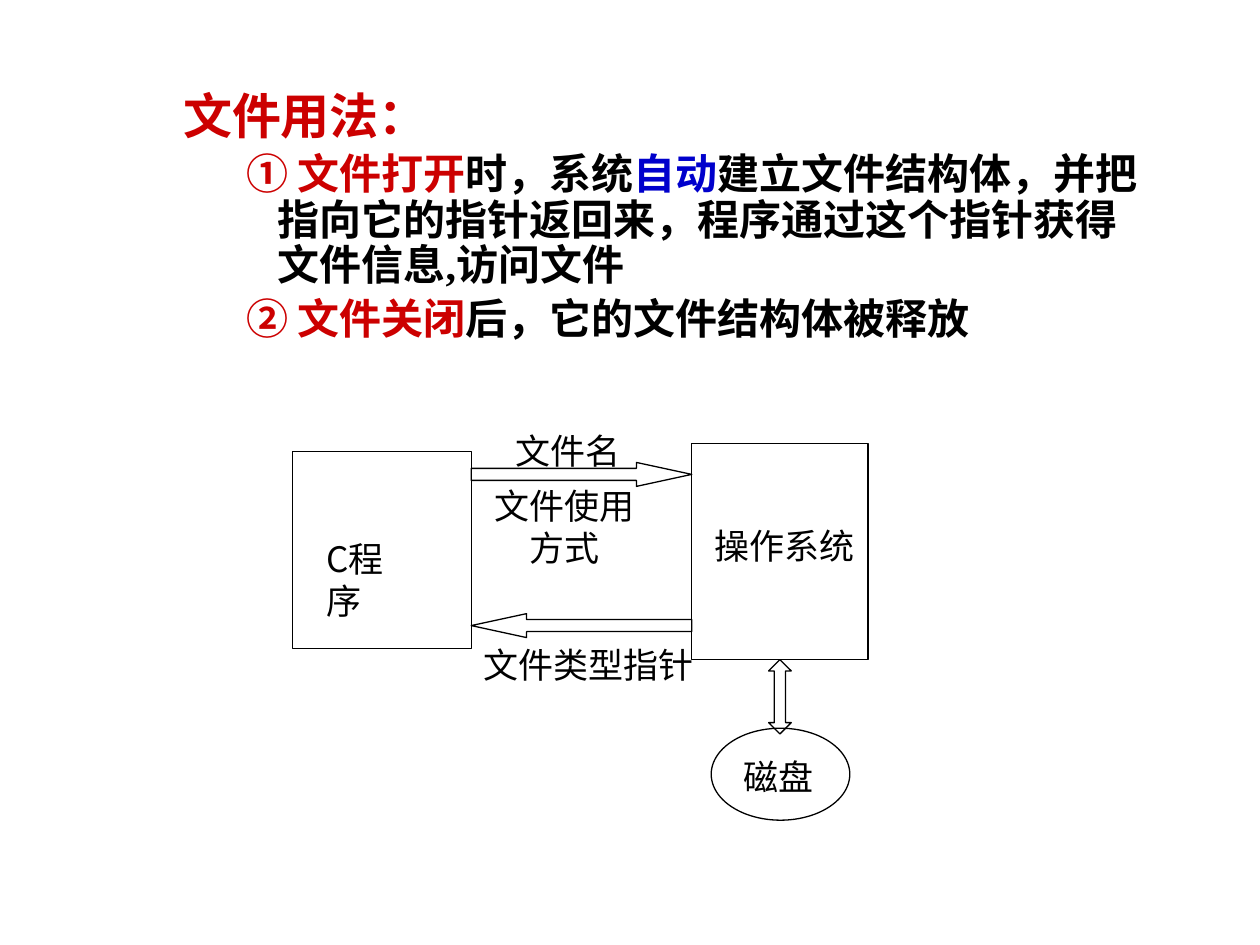
from pptx import Presentation
from pptx.dml.color import RGBColor
from pptx.enum.shapes import MSO_SHAPE
from pptx.enum.text import PP_ALIGN
from pptx.util import Inches, Pt

RED = RGBColor(0xCC, 0x00, 0x00)
BLUE = RGBColor(0x00, 0x00, 0xCC)
BLACK = RGBColor(0x00, 0x00, 0x00)

prs = Presentation()
prs.slide_width, prs.slide_height = Inches(10), Inches(7.5)
s = prs.slides.add_slide(prs.slide_layouts[6])

# Grid of 100 columns by 75 rows
COL = prs.slide_width / 100
ROW = prs.slide_height / 75


def cells(left, top, width, height):
    return [round(n) for n in (left * COL, top * ROW, width * COL, height * ROW)]


def add_run(p, text, font, size, color, bold=False):
    r = p.add_run()
    r.text = text
    r.font.name, r.font.size, r.font.bold = font, Pt(size), bold
    r.font.color.rgb = color


# Heading and numbered points: left margin, size, coloured runs
points = [
    (1.25, 28, [("文件用法：", RED)]),
    (1.75, 24, [("① 文件打开", RED), ("时，系统", BLACK), ("自动", BLUE),
                ("建立文件结构体，并把指向它的指针返回来，程序通过这个指针获得文件信息,访问文件", BLACK)]),
    (1.75, 24, [("② 文件关闭", RED), ("后，它的文件结构体被释放", BLACK)]),
]
tf = s.shapes.add_textbox(*cells(3.55, 6.8, 89, 22.1)).text_frame
tf.word_wrap = True
for i, (margin, size, runs) in enumerate(points):
    p = tf.paragraphs[0] if i == 0 else tf.add_paragraph()
    p.line_spacing = 0.9
    if i:
        p.space_before = Pt(5)
    pPr = p._p.get_or_add_pPr()
    pPr.set("marL", str(Inches(margin)))
    pPr.set("indent", str(Inches(-0.25)))
    for text, color in runs:
        add_run(p, text, "Times New Roman", size, color, bold=True)

# Program, operating system and disk, joined by block arrows
outlines = [
    (MSO_SHAPE.RECTANGLE, (23.2, 35.85, 14.2, 15.6), ()),
    (MSO_SHAPE.RECTANGLE, (54.9, 35.2, 14, 17.15), ()),
    (MSO_SHAPE.OVAL, (56.45, 57.8, 11, 7.3), ()),
    (MSO_SHAPE.RIGHT_ARROW, (37.4, 36.7, 17.5, 1.9), (0.5, 2.31)),
    (MSO_SHAPE.LEFT_ARROW, (37.4, 48.7, 17.5, 1.9), (0.5, 2.31)),
    (MSO_SHAPE.UP_DOWN_ARROW, (61, 52.35, 1.8, 5.9), (0.66, 0.5)),
]
for kind, place, adjustments in outlines:
    sp = s.shapes.add_shape(kind, *cells(*place))
    sp.shadow.inherit = False
    sp.fill.background()
    sp.line.color.rgb = BLACK
    sp.line.width = Pt(0.75)
    for i, value in enumerate(adjustments):
        sp.adjustments[i] = value

# Diagram labels: lines, place, wrap, alignment
labels = [
    (["文件名"], (39.9, 33.6, 11.2, 4.3), True, PP_ALIGN.LEFT),
    (["文件使用", "方式"], (38.25, 38, 13.1, 7.7), False, PP_ALIGN.CENTER),
    (["文件类型指针"], (37.4, 50.6, 18.7, 4.3), False, PP_ALIGN.LEFT),
    (["C程序"], (24.9, 42.2, 9, 4.3), True, PP_ALIGN.LEFT),
    (["操作系统"], (55.7, 41.1, 13.1, 4.3), False, PP_ALIGN.LEFT),
    (["磁盘"], (58, 59.5, 7.6, 4.3), False, PP_ALIGN.LEFT),
]
for lines, place, wrap, align in labels:
    tf = s.shapes.add_textbox(*cells(*place)).text_frame
    tf.word_wrap = wrap
    for i, line in enumerate(lines):
        p = tf.paragraphs[0] if i == 0 else tf.add_paragraph()
        p.alignment = align
        add_run(p, line, "Noto Sans CJK SC", 20, BLACK)

prs.save("out.pptx")
